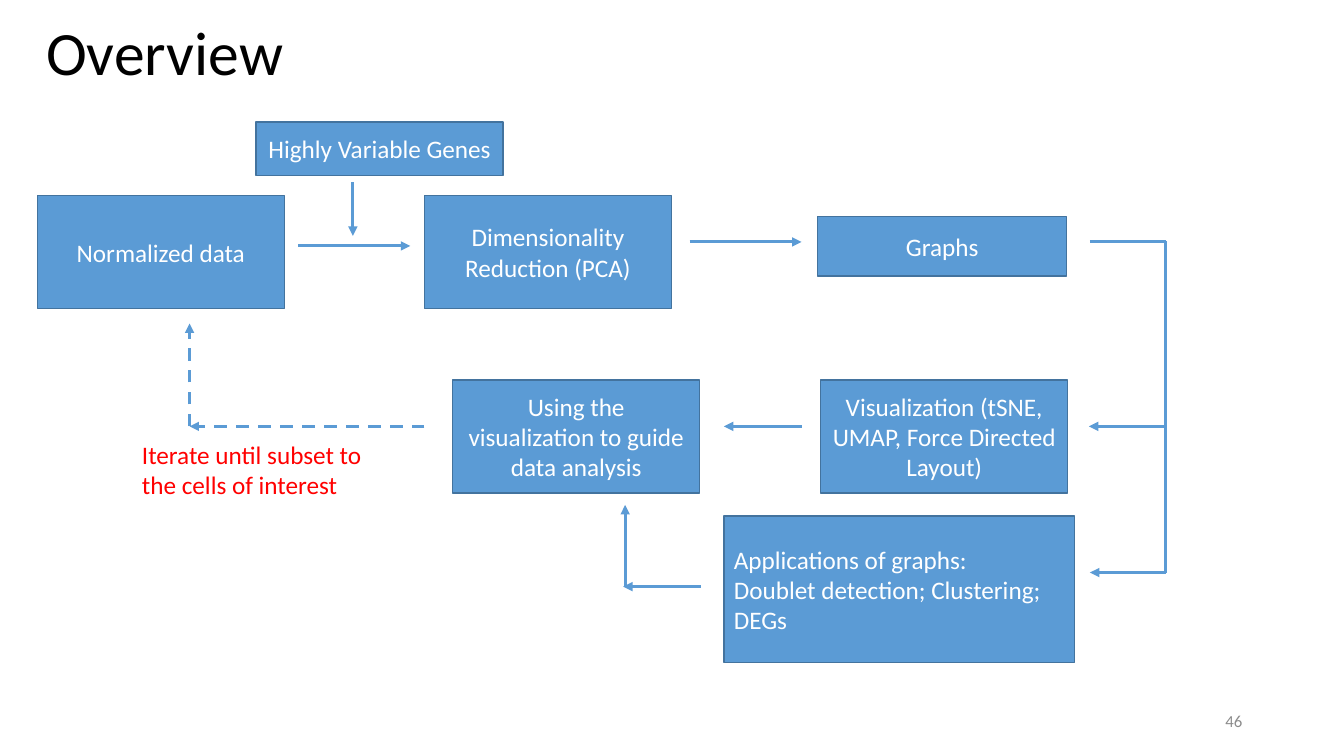
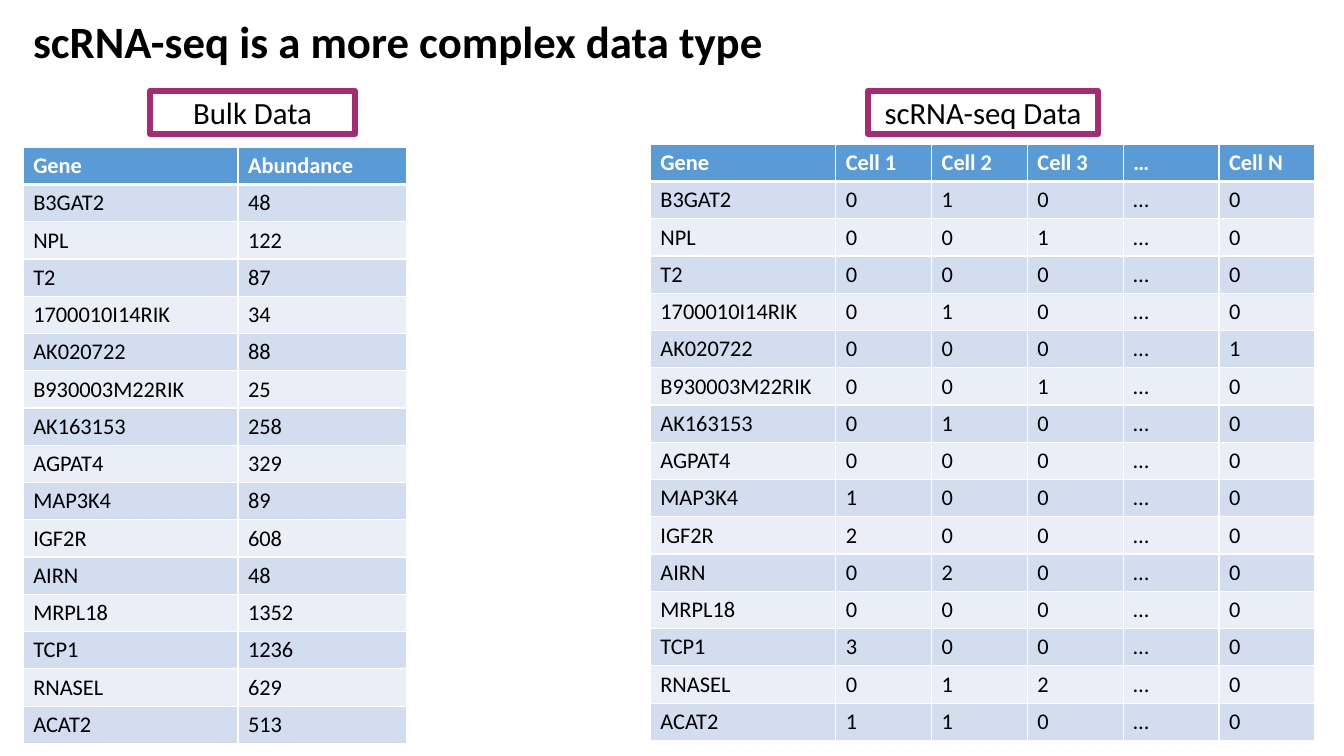
from lxml import etree
from pptx import Presentation
from pptx import util as u
from pptx.dml.color import RGBColor
from pptx.enum import dml, shapes, text
from pptx.oxml.ns import qn

BLUE, EDGE, PLUM = "5B9BD5", "43739E", "A52B73"
WHITE, BLACK, GREY, RED = "FFFFFF", "000000", "8C8C8C", "FF0000"
BANDS = ("D2DEEF", "EAEFF7")
LEFT, CENTER, RIGHT = text.PP_ALIGN.LEFT, text.PP_ALIGN.CENTER, text.PP_ALIGN.RIGHT
TOP, MIDDLE = text.MSO_ANCHOR.TOP, text.MSO_ANCHOR.MIDDLE


def rgb(value):
    """Turn a hex string into a colour."""
    return RGBColor.from_string(value)


def assign(target, values):
    """Set every attribute named in a dict of format values."""
    for name, value in values.items():
        setattr(target, name, value)


class Deck:
    """Hold the shared style and the slide being built."""

    font = "Calibri"
    line_width = 2.25

    def __init__(self):
        """Start an empty widescreen presentation."""
        self.prs = Presentation()
        assign(self.prs, {"slide_width": u.Inches(13.33), "slide_height": u.Inches(7.5)})
        self.s = None

    def slide(self, title, left, top, size, bold=False):
        """Add a blank slide with its title."""
        self.s = self.prs.slides.add_slide(self.prs.slide_layouts[6])
        self.label((left, top, 11.5, 1.45), title, size, BLACK,
                   anchor=MIDDLE, bold=bold, spacing=0.9)

    def fill_text(self, tf, content, size, color, align=LEFT, bold=False, spacing=None):
        """Fill a text frame, one paragraph for each line."""
        for i, line in enumerate(content.split("\n")):
            p = tf.paragraphs[0] if i == 0 else tf.add_paragraph()
            assign(p, {"alignment": align, "line_spacing": spacing})
            r = p.add_run()
            r.text = line
            assign(r.font, {"name": self.font, "size": u.Pt(size), "bold": bold})
            r.font.color.rgb = rgb(color)

    def label(self, box, content, size, color, anchor=TOP, **style):
        """Add a wrapping text box."""
        tf = self.s.shapes.add_textbox(*map(u.Inches, box)).text_frame
        assign(tf, {"word_wrap": True, "vertical_anchor": anchor})
        self.fill_text(tf, content, size, color, **style)

    def box(self, box, content, size=18, color=WHITE, fill=BLUE, edge=EDGE,
            width=1, align=CENTER):
        """Add an outlined rectangle with text."""
        sp = self.s.shapes.add_shape(shapes.MSO_SHAPE.RECTANGLE, *map(u.Inches, box))
        sp.shadow.inherit = False
        if fill:
            sp.fill.solid()
            sp.fill.fore_color.rgb = rgb(fill)
        else:
            sp.fill.background()
        sp.line.color.rgb = rgb(edge)
        sp.line.width = u.Pt(width)
        tf = sp.text_frame
        assign(tf, {"word_wrap": True, "vertical_anchor": MIDDLE})
        self.fill_text(tf, content, size, color, align)

    def line(self, x1, y1, x2, y2, arrow=True, dash=False):
        """Add a straight line, with an arrowhead at its end if asked."""
        cx = self.s.shapes.add_connector(
            shapes.MSO_CONNECTOR.STRAIGHT, *map(u.Inches, (x1, y1, x2, y2)))
        cx.line.color.rgb = rgb(BLUE)
        cx.line.width = u.Pt(self.line_width)
        if dash:
            cx.line.dash_style = dml.MSO_LINE.DASH
        if arrow:
            ln = cx._element.spPr.find(qn("a:ln"))
            etree.SubElement(ln, qn("a:tailEnd"), type="triangle")
        etree.SubElement(cx._element.spPr, qn("a:effectLst"))

    def borders(self, cell, bottom):
        """Draw white borders around a table cell."""
        tc_pr = cell._tc.get_or_add_tcPr()
        for side, width in (("L", 1), ("R", 1), ("T", 1), ("B", bottom)):
            ln = etree.SubElement(tc_pr, qn(f"a:ln{side}"), w=str(u.Pt(width)))
            fill = etree.SubElement(ln, qn("a:solidFill"))
            etree.SubElement(fill, qn("a:srgbClr"), val=WHITE)

    def table(self, left, top, widths, rows, height=0.37):
        """Add a table with a blue header and banded rows."""
        frame = self.s.shapes.add_table(
            len(rows), len(widths),
            *map(u.Inches, (left, top, sum(widths), height * len(rows))))
        tbl = frame.table
        for column, width in zip(tbl.columns, widths):
            column.width = u.Inches(width)
        for i, row in enumerate(rows):
            tbl.rows[i].height = u.Inches(height)
            header = i == 0
            for j, value in enumerate(row):
                cell = tbl.cell(i, j)
                self.borders(cell, 3 if header else 1)
                cell.fill.solid()
                cell.fill.fore_color.rgb = rgb(BLUE if header else BANDS[(i - 1) % 2])
                self.fill_text(cell.text_frame, str(value), 16,
                               WHITE if header else BLACK, bold=header)


def overview(deck):
    """Build the workflow diagram."""
    deck.slide("Overview", 0.36, -0.17, 44)
    deck.label((9.42, 6.95, 3, 0.4), "46", 12, GREY, anchor=MIDDLE, align=RIGHT)
    w, h = 2.45, 1.12
    for box, content in (
        ((0.37, 1.94, w, h), "Normalized data"),
        ((4.21, 1.94, w, h), "Dimensionality Reduction (PCA)"),
        ((8.11, 2.15, 2.47, 0.59), "Graphs"),
        ((8.14, 3.77, w, h), "Visualization (tSNE, UMAP, Force Directed Layout)"),
        ((4.49, 3.77, w, h), "Using the visualization to guide data analysis"),
        ((2.54, 1.21, w, 0.53), "Highly Variable Genes"),
    ):
        deck.box(box, content)
    deck.box((7.18, 5.12, 3.48, 1.45),
             "Applications of graphs:\nDoublet detection; Clustering; DEGs", align=LEFT)
    for ends in (
        (2.96, 2.44, 4.07, 2.44),
        (6.84, 2.4, 7.95, 2.4),
        (3.5, 1.81, 3.5, 2.34),
        (11.56, 4.23, 10.8, 4.23),
        (11.56, 5.68, 10.81, 5.68),
        (7.95, 4.23, 7.18, 4.23),
        (6.95, 5.82, 6.18, 5.82),
        (6.2, 5.82, 6.2, 5.01),
    ):
        deck.line(*ends)
    deck.line(10.81, 2.4, 11.56, 2.4, arrow=False)
    deck.line(11.56, 5.68, 11.56, 2.39, arrow=False)
    deck.line(4.21, 4.23, 1.88, 4.23, dash=True)
    deck.line(1.88, 4.23, 1.88, 3.21, dash=True)
    deck.label((1.31, 4.31, 2.73, 0.71),
               "Iterate until subset to the cells of interest", 18, RED)


def data_types(deck):
    """Build the comparison of bulk and single-cell tables."""
    deck.slide("scRNA-seq is a more complex data type", 0.23, -0.29, 32, bold=True)
    genes = (
        ("B3GAT2", 48, (0, 1, 0, 0)),
        ("NPL", 122, (0, 0, 1, 0)),
        ("T2", 87, (0, 0, 0, 0)),
        ("1700010I14RIK", 34, (0, 1, 0, 0)),
        ("AK020722", 88, (0, 0, 0, 1)),
        ("B930003M22RIK", 25, (0, 0, 1, 0)),
        ("AK163153", 258, (0, 1, 0, 0)),
        ("AGPAT4", 329, (0, 0, 0, 0)),
        ("MAP3K4", 89, (1, 0, 0, 0)),
        ("IGF2R", 608, (2, 0, 0, 0)),
        ("AIRN", 48, (0, 2, 0, 0)),
        ("MRPL18", 1352, (0, 0, 0, 0)),
        ("TCP1", 1236, (3, 0, 0, 0)),
        ("RNASEL", 629, (0, 1, 2, 0)),
        ("ACAT2", 513, (1, 1, 0, 0)),
    )
    bulk = [("Gene", "Abundance")] + [(gene, total) for gene, total, _ in genes]
    cells = [("Gene", "Cell 1", "Cell 2", "Cell 3", "…", "Cell N")]
    cells += [(gene, *counts[:3], "…", counts[3]) for gene, _, counts in genes]
    deck.table(0.23, 1.46, (2.13, 1.67), bulk)
    for left, width, content in ((1.49, 2.03, "Bulk Data"), (8.61, 2.28, "scRNA-seq Data")):
        deck.box((left, 0.9, width, 0.43), content, 22, BLACK,
                 fill=None, edge=PLUM, width=4.5)
    deck.table(6.45, 1.43, (1.84,) + (0.95,) * 5, cells)


def main():
    """Build and save the slides."""
    deck = Deck()
    overview(deck)
    data_types(deck)
    deck.prs.save("out.pptx")


if __name__ == "__main__":
    main()
